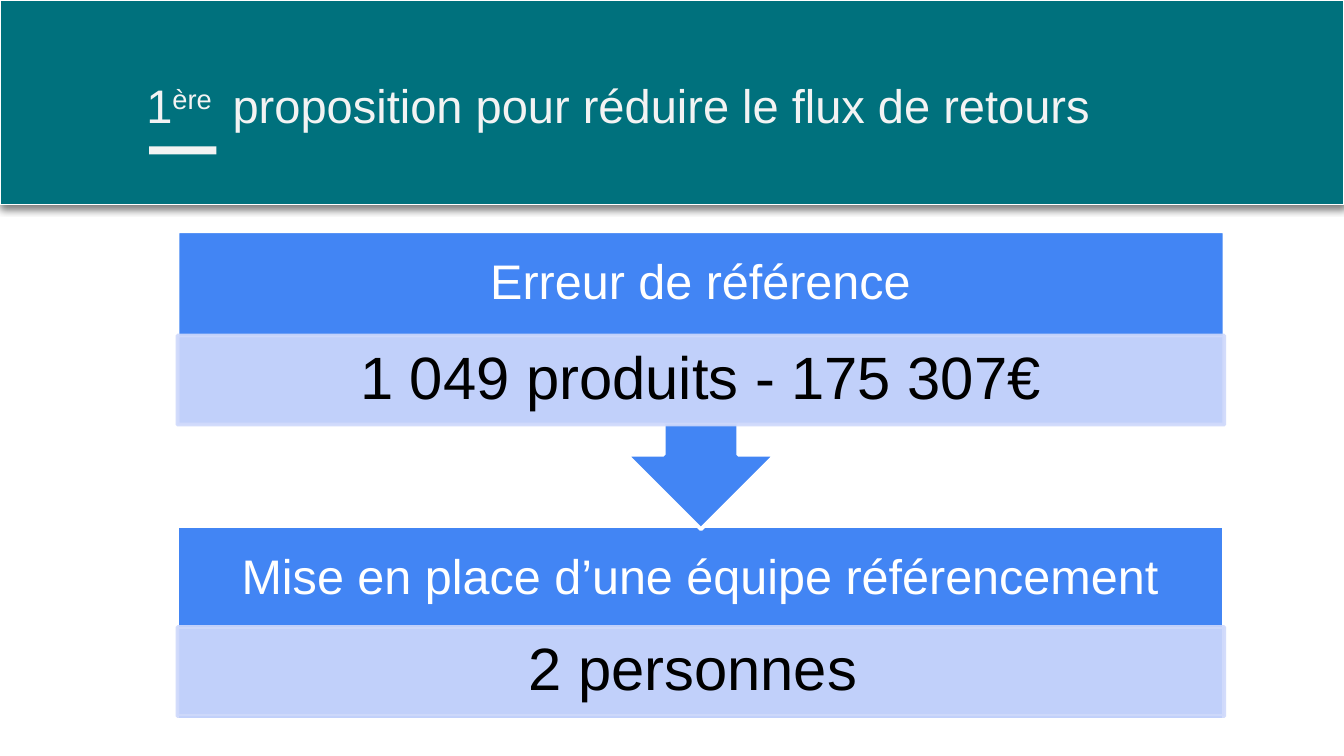
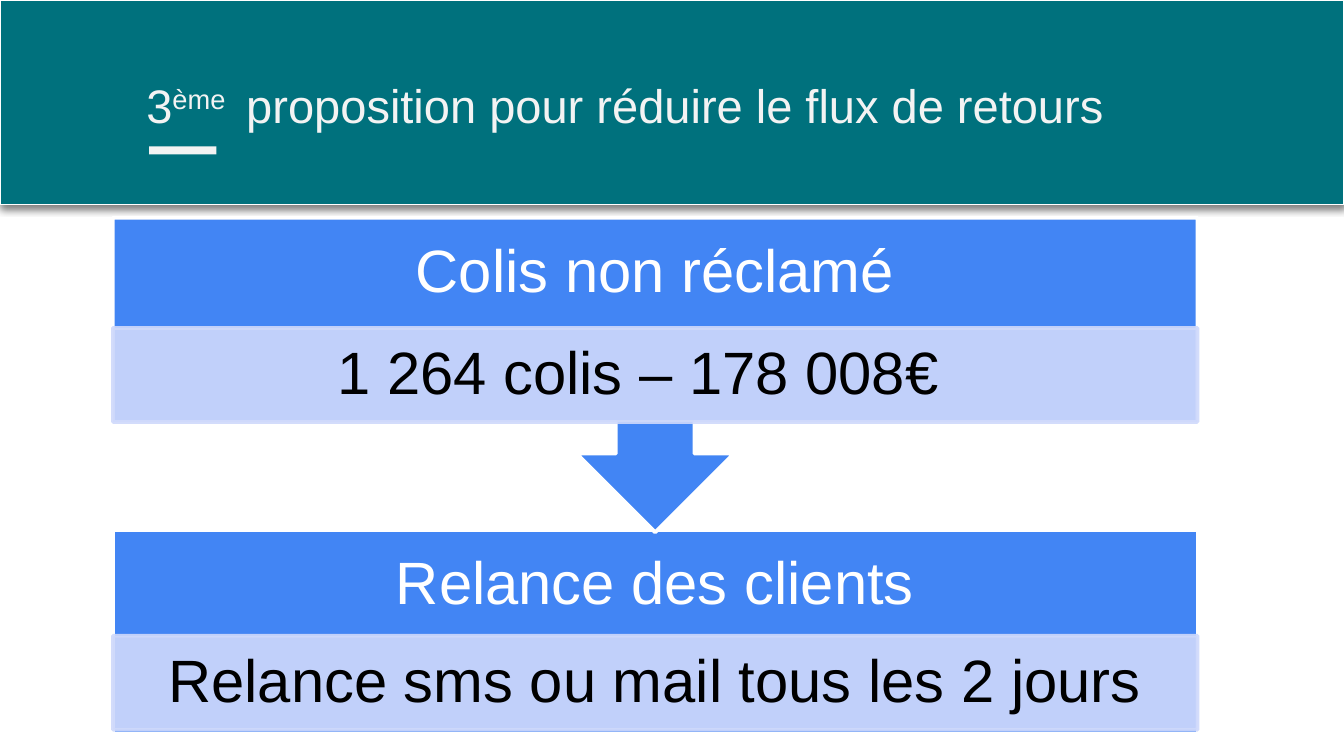
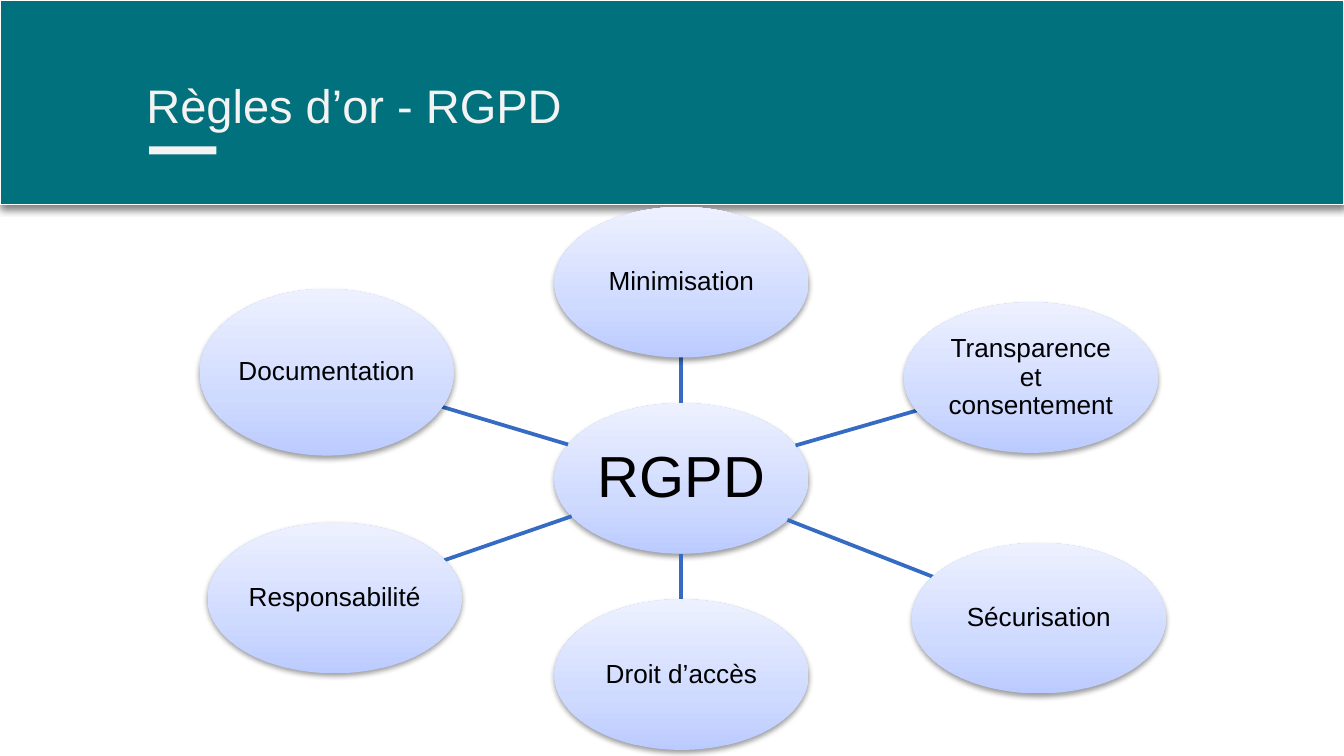
from copy import deepcopy
from math import hypot

from lxml import etree
from pptx import Presentation
from pptx.dml.color import RGBColor
from pptx.enum import shapes, text
from pptx.oxml import ns
from pptx.util import Inches, Pt

SLIDE_WIDTH = 10
SLIDE_HEIGHT = SLIDE_WIDTH * 9 / 16
FONT = "Arial"
COLORS = {
    "band": "00717D", "title": "F3F3F3", "white": "FFFFFF", "black": "000000",
    "block": "4285F4", "detail": "CFD9FB", "spoke": "356BC3",
}
BUBBLE_GRADIENT = [(0, "BBCBFF"), (0.35, "CFDAFF"), (1, "EDF1FF")]

# Title parts are (text, is superscript); trailing is extra room right of a detail.
PROPOSAL_TITLE_END = (" proposition pour réduire le flux de retours", False)
PROPOSALS = [
    {
        "title": [("1", False), ("ère ", True), PROPOSAL_TITLE_END],
        "left": 1.32, "top": 1.72, "width": 7.79, "block_height": 1.44,
        "header_size": 26, "header_inset": 0.2,
        "problem": ("Erreur de référence", "1 049 produits - 175 307€", 0),
        "solution": ("Mise en place d’une équipe référencement", "2 personnes", 0.12),
    },
    {
        "title": [("3", False), ("ème ", True), PROPOSAL_TITLE_END],
        "left": 0.84, "top": 1.62, "width": 8.07, "block_height": 1.52,
        "header_size": 32, "header_inset": 0.25,
        "problem": ("Colis non réclamé", "1 264 colis – 178 008€", 0.25),
        "solution": ("Relance des clients", "Relance sms ou mail tous les 2 jours", 0),
    },
]

RULES_TITLE = [("Règles d’or - RGPD", False)]
BUBBLE_WIDTH, BUBBLE_HEIGHT = 1.89, 1.12
HUB = ("RGPD", 5.07, 3.56, BUBBLE_HEIGHT)
RULES = [  # label, centre x, centre y, height
    ("Minimisation", 5.07, 2.1, BUBBLE_HEIGHT),
    ("Transparence et consentement", 7.67, 2.81, BUBBLE_HEIGHT),
    ("Sécurisation", 7.73, 4.6, BUBBLE_HEIGHT),
    ("Droit d’accès", 5.07, 5.02, BUBBLE_HEIGHT),
    ("Responsabilité", 2.49, 4.45, BUBBLE_HEIGHT),
    ("Documentation", 2.43, 2.77, 1.24),
]


def rgb(name):
    return RGBColor.from_string(COLORS[name])


def add_filled(slide, kind, box, fill, line=None, line_width=2):
    shape = slide.shapes.add_shape(kind, *map(Inches, box))
    shape.shadow.inherit = False
    if fill:
        shape.fill.solid()
        shape.fill.fore_color.rgb = rgb(fill)
    if line:
        shape.line.color.rgb = rgb(line)
        shape.line.width = Pt(line_width)
    else:
        shape.line.fill.background()
    return shape


def add_shadow(shape, opacity, blur, distance):
    effects = shape._element.spPr.find(ns.qn("a:effectLst"))
    shadow = etree.SubElement(
        effects, ns.qn("a:outerShdw"), blurRad=str(Pt(blur)), dist=str(Pt(distance)),
        dir="5400000", algn="ctr", rotWithShape="0")
    color = etree.SubElement(shadow, ns.qn("a:srgbClr"), val=COLORS["black"])
    etree.SubElement(color, ns.qn("a:alpha"), val=str(opacity * 1000))


def write_centred(shape, words, size, color, insets):
    """Write one centred paragraph; insets are left, top, right, bottom."""
    frame = shape.text_frame
    frame.word_wrap = True
    frame.vertical_anchor = text.MSO_ANCHOR.MIDDLE
    (frame.margin_left, frame.margin_top,
     frame.margin_right, frame.margin_bottom) = map(Inches, insets)
    frame.text = words
    paragraph = frame.paragraphs[0]
    paragraph.alignment = text.PP_ALIGN.CENTER
    paragraph.line_spacing = 0.9
    font = paragraph.runs[0].font
    font.name, font.size, font.color.rgb = FONT, Pt(size), rgb(color)


def add_titled_slide(presentation, title):
    slide = presentation.slides.add_slide(presentation.slide_layouts[6])
    rectangle = shapes.MSO_SHAPE.RECTANGLE
    band = add_filled(slide, rectangle, (0, 0, SLIDE_WIDTH, 1.52), "band", "white", 0.75)
    add_shadow(band, 49, 4.5, 1.5)
    add_filled(slide, rectangle, (1.11, 1.09, 0.5, 0.06), "title")
    frame = slide.shapes.add_textbox(*map(Inches, (0.99, 0.46, 9.32, 0.63))).text_frame
    frame.word_wrap = True
    frame.vertical_anchor = text.MSO_ANCHOR.BOTTOM
    frame.margin_left = frame.margin_right = Inches(0.1)
    frame.margin_top = frame.margin_bottom = Inches(0.1)
    for words, superscript in title:
        run = frame.paragraphs[0].add_run()
        run.text = words
        run.font.name, run.font.size = FONT, Pt(25.2)
        run.font.color.rgb = rgb("title")
        if superscript:
            run.font._element.set("baseline", "30000")
    return slide


def add_block(slide, proposal, kind, top, height, detail_offset, content):
    header, detail, trailing = content
    left, width = proposal["left"], proposal["width"]
    detail_height = 0.46 * proposal["block_height"]
    block = add_filled(slide, kind, (left, top, width, height), "block", "white")
    inset = proposal["header_inset"]
    write_centred(block, header, proposal["header_size"], "white",
                  (inset, inset, inset, inset + detail_height))
    strip = add_filled(slide, shapes.MSO_SHAPE.RECTANGLE,
                       (left, top + detail_offset, width, detail_height),
                       "detail", "detail")
    for color in strip._element.spPr.iter(ns.qn("a:srgbClr")):
        etree.SubElement(color, ns.qn("a:alpha"), val="90000")
    write_centred(strip, detail, 32, "black", (0.25, 0.04, 0.25 + trailing, 0.04))


def add_proposal(presentation, proposal):
    slide = add_titled_slide(presentation, proposal["title"])
    top, unit = proposal["top"], proposal["block_height"]
    callout_height = 1.54 * unit
    add_block(slide, proposal, shapes.MSO_SHAPE.RECTANGLE,
              top + callout_height - 0.02, unit, 0.52 * unit, proposal["solution"])
    add_block(slide, proposal, shapes.MSO_SHAPE.DOWN_ARROW_CALLOUT,
              top, callout_height, 0.54 * unit, proposal["problem"])


def add_bubble(slide, bubble, size, inset):
    label, x, y, height = bubble
    box = (x - BUBBLE_WIDTH / 2, y - height / 2, BUBBLE_WIDTH, height)
    shape = add_filled(slide, shapes.MSO_SHAPE.OVAL, box, None)
    shape.fill.gradient()
    shape.fill.gradient_angle = 90
    stops = shape._element.spPr.find(".//" + ns.qn("a:gsLst"))
    stops.append(deepcopy(stops[0]))
    for stop, (position, color) in zip(shape.fill.gradient_stops, BUBBLE_GRADIENT):
        stop.position = position
        stop.color.rgb = RGBColor.from_string(color)
    add_shadow(shape, 38, 3.1, 1.6)
    write_centred(shape, label, size, "black", [inset] * 4)


def edge_point(bubble, target):
    """Point where the line towards the target's centre leaves the bubble."""
    _, x, y, height = bubble
    dx, dy = target[1] - x, target[2] - y
    scale = 1 / hypot(dx / (BUBBLE_WIDTH / 2), dy / (height / 2))
    return Inches(x + dx * scale), Inches(y + dy * scale)


def add_spoke(slide, rule):
    spoke = slide.shapes.add_connector(
        shapes.MSO_CONNECTOR.STRAIGHT, *edge_point(HUB, rule), *edge_point(rule, HUB))
    spoke.line.color.rgb = rgb("spoke")
    spoke.line.width = Pt(2)
    etree.SubElement(spoke._element.spPr, ns.qn("a:effectLst"))


def add_rules(presentation):
    slide = add_titled_slide(presentation, RULES_TITLE)
    add_bubble(slide, HUB, 31, 0.02)
    for rule in RULES:
        add_spoke(slide, rule)
        add_bubble(slide, rule, 14, 0.01)


def main():
    presentation = Presentation()
    presentation.slide_width = Inches(SLIDE_WIDTH)
    presentation.slide_height = Inches(SLIDE_HEIGHT)
    for proposal in PROPOSALS:
        add_proposal(presentation, proposal)
    add_rules(presentation)
    presentation.save("out.pptx")


if __name__ == "__main__":
    main()
